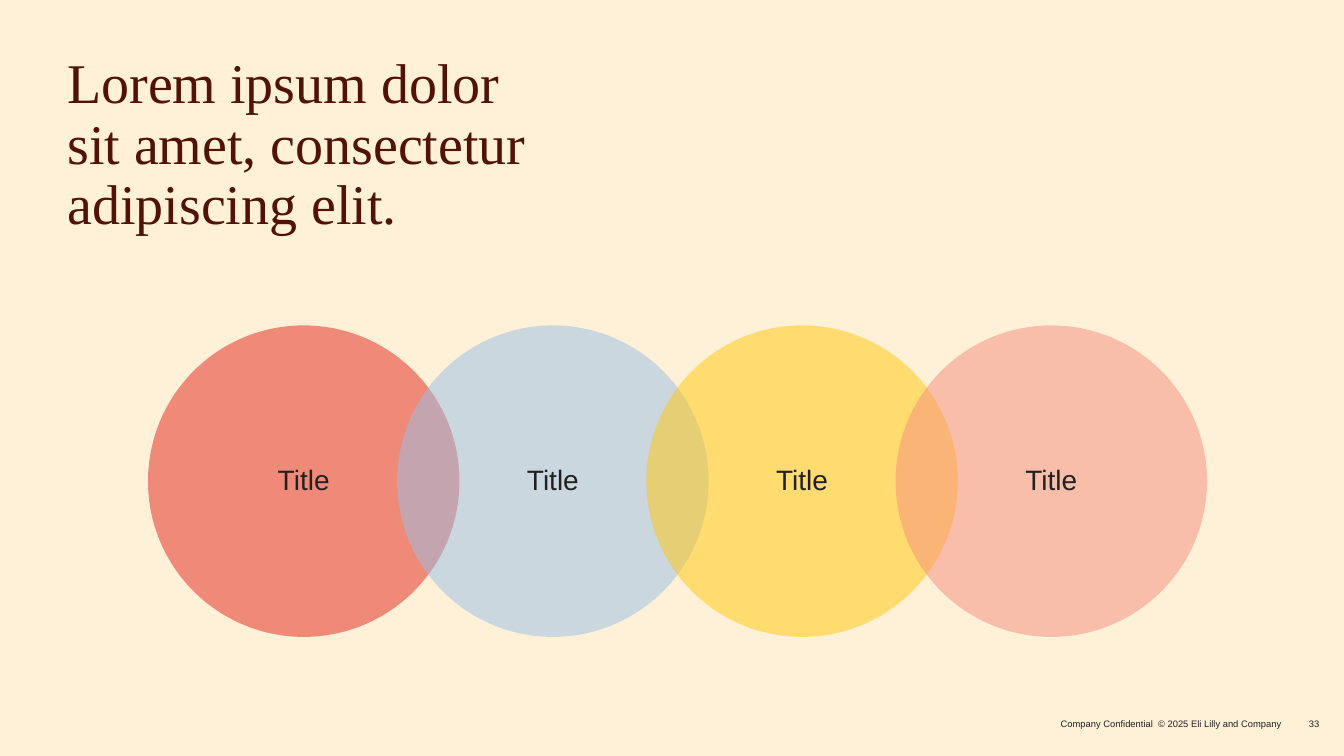
import pptx
import pptx.util
import pptx.dml.color
import pptx.enum.shapes
import pptx.enum.text
from lxml import etree

Cm, Pt = pptx.util.Cm, pptx.util.Pt
RGBColor = pptx.dml.color.RGBColor
ALIGN = pptx.enum.text.PP_ALIGN
ANCHOR = pptx.enum.text.MSO_ANCHOR

CREAM = RGBColor(0xFF, 0xF0, 0xD8)
MAROON = RGBColor(0x51, 0x12, 0x07)
INK = RGBColor(0x21, 0x21, 0x21)

TITLE = ["Lorem ipsum dolor", "sit amet, consectetur", "adipiscing elit."]
CIRCLES = [
    ("Title", RGBColor(0xE1, 0x25, 0x1B)),
    ("Title", RGBColor(0x99, 0xBF, 0xE5)),
    ("Title", RGBColor(0xFF, 0xC7, 0x09)),
    ("Title", RGBColor(0xF5, 0x8E, 0x7D)),
]
COPYRIGHT = "Company Confidential  © 2025 Eli Lilly and Company"
PAGE = "33"

DIAMETER = 7.85
STEP = DIAMETER * 0.8  # neighbours overlap by a fifth
FIRST_LEFT, CIRCLE_TOP = 3.73, 8.2
OPACITY = 50


def put_text(sp, lines, size, font="Arial", color=INK, align=ALIGN.LEFT,
             anchor=ANCHOR.MIDDLE, spacing=None, wrap=True):
    """Fill the shape with one paragraph, broken between the given lines."""
    tf = sp.text_frame
    tf.word_wrap = wrap
    tf.vertical_anchor = anchor
    tf.margin_left = tf.margin_right = tf.margin_top = tf.margin_bottom = 0
    p = tf.paragraphs[0]
    p.text = "\v".join(lines)
    p.alignment = align
    p.line_spacing = spacing
    for r in p.runs:
        r.font.name = font
        r.font.size = Pt(size)
        r.font.color.rgb = color


def set_opacity(sp, percent):
    color = sp.fill._xPr.find(".//" + pptx.oxml.ns.qn("a:srgbClr"))
    etree.SubElement(color, pptx.oxml.ns.qn("a:alpha")).set("val", str(percent * 1000))


prs = pptx.Presentation()
prs.slide_width, prs.slide_height = Cm(33.87), Cm(19.05)
s = prs.slides.add_slide(prs.slide_layouts[6])
s.background.fill.solid()
s.background.fill.fore_color.rgb = CREAM

title = s.shapes.add_textbox(Cm(1.7), Cm(1.4), Cm(15.24), Cm(5.51))
put_text(title, TITLE, 40, font="Times New Roman", color=MAROON,
         anchor=ANCHOR.TOP, spacing=0.9)

for i, (label, color) in enumerate(CIRCLES):
    sp = s.shapes.add_shape(pptx.enum.shapes.MSO_SHAPE.OVAL,
                            Cm(FIRST_LEFT + i * STEP), Cm(CIRCLE_TOP),
                            Cm(DIAMETER), Cm(DIAMETER))
    sp.shadow.inherit = False
    sp.fill.solid()
    sp.fill.fore_color.rgb = color
    set_opacity(sp, OPACITY)
    sp.line.fill.background()
    put_text(sp, [label], 20, align=ALIGN.CENTER, spacing=0.9)

for text, left, width, wrap in [(COPYRIGHT, 25.53, 6.78, False), (PAGE, 32.41, 0.84, True)]:
    footer = s.shapes.add_textbox(Cm(left), Cm(18.08), Cm(width), Cm(0.33))
    put_text(footer, [text], 6.7, align=ALIGN.RIGHT, wrap=wrap)

prs.save("out.pptx")
